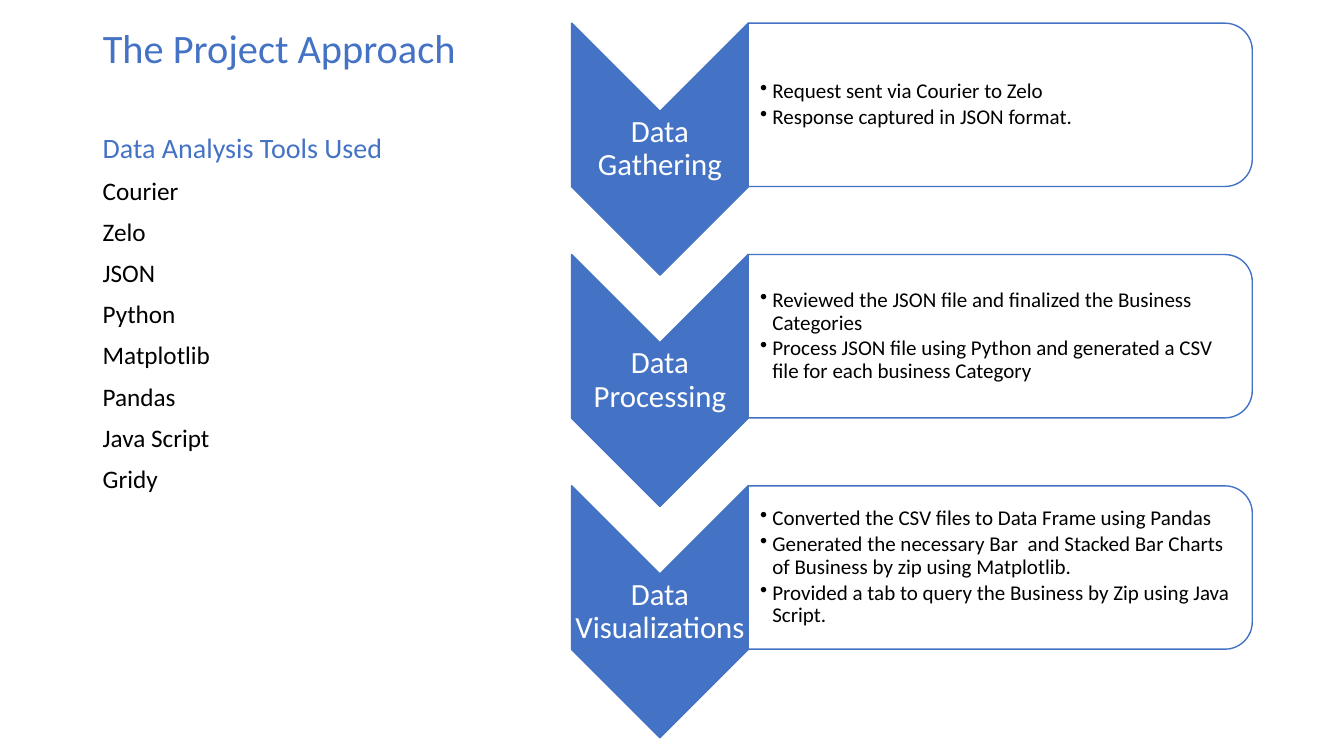
from lxml import etree
from pptx import Presentation, util as u
from pptx.dml.color import RGBColor
from pptx.enum import shapes, text
from pptx.oxml.ns import qn

TITLE = "The Project Approach"
HEAD = "Data Analysis Tools Used"
TOOLS = ["Courier", "Zelo", "JSON", "Python", "Matplotlib", "Pandas",
         "Java Script", "Gridy"]
STEPS = [
    ("Data Gathering", [
        "Request sent via Courier to Zelo",
        "Response captured in JSON format."]),
    ("Data Processing", [
        "Reviewed the JSON file and finalized the Business Categories",
        "Process JSON file using Python and generated a CSV file for each "
        "business Category"]),
    ("Data Visualizations", [
        "Converted the CSV files to Data Frame using Pandas",
        "Generated the necessary Bar  and Stacked Bar Charts of Business by "
        "zip using Matplotlib.",
        "Provided a tab to query the Business by Zip using Java Script."]),
]

THEME = {
    "font": "Calibri",
    "blue": RGBColor(0x44, 0x72, 0xC4),
    "white": RGBColor(255, 255, 255),
    "black": RGBColor(0, 0, 0),
    "title": 28.8, "head": 20, "tool": 18, "step": 22, "note": 15,
}
WIDE, HIGH = 13.33, 7.5
LEFT, COL = 0.92, 4.3                 # left text column
TOP, PITCH = 0.23, 2.295              # first step and step spacing
ARROW_X, ARROW_W, ARROW_H = 5.67, 1.75, 2.5
CARD_X, CARD_W, CARD_H = ARROW_X + ARROW_W, 5, 1.62
INDENT = 0.12


def inches(*vals):
    """Turn plain numbers into lengths."""
    return [u.Inches(v) for v in vals]


def style(para, size, color, before=0, after=0):
    """Format a paragraph and its runs."""
    para.line_spacing = 0.9
    para.space_before, para.space_after = u.Pt(before), u.Pt(after)
    for run in para.runs:
        run.font.name = THEME["font"]
        run.font.size = u.Pt(THEME[size])
        run.font.color.rgb = THEME[color]


def label(box, lines, pads, anchor):
    """Add a wrapped text box and return its frame."""
    frame = slide.shapes.add_textbox(*inches(*box)).text_frame
    frame.word_wrap = True
    frame.vertical_anchor = anchor
    (frame.margin_left, frame.margin_top,
     frame.margin_right, frame.margin_bottom) = inches(*pads)
    frame.text = "\n".join(lines)
    return frame


def turned(kind, x, y, w, h, fill):
    """Add a shape turned by 90 degrees that covers the box x, y, w, h."""
    shape = slide.shapes.add_shape(
        kind, *inches(x + (w - h) / 2, y + (h - w) / 2, h, w))
    shape.rotation = 90
    shape.shadow.inherit = False
    shape.fill.solid()
    shape.fill.fore_color.rgb = THEME[fill]
    shape.line.color.rgb = THEME["blue"]
    shape.line.width = u.Pt(1)


def bullet(para):
    """Give a paragraph a hanging bullet."""
    props = para._p.get_or_add_pPr()
    props.set("marL", str(u.Inches(INDENT)))
    props.set("indent", str(-u.Inches(INDENT)))
    etree.SubElement(props, qn("a:buChar")).set("char", "•")


def step(y, name, notes):
    """Draw one arrow with its card of notes."""
    turned(shapes.MSO_SHAPE.CHEVRON, ARROW_X, y, ARROW_W, ARROW_H, "blue")
    turned(shapes.MSO_SHAPE.ROUND_2_SAME_RECTANGLE,
           CARD_X, y, CARD_W, CARD_H, "white")
    mid = text.MSO_ANCHOR.MIDDLE
    notch = ARROW_W / 2
    frame = label((ARROW_X, y + notch, ARROW_W, ARROW_H - 2 * notch),
                  [name], [0.02] * 4, mid)
    para = frame.paragraphs[0]
    para.alignment = text.PP_ALIGN.CENTER
    style(para, "step", "white")
    frame = label((CARD_X, y + 0.08, CARD_W - 0.08, CARD_H - 0.16),
                  notes, (INDENT, 0.01, 0.01, 0.01), mid)
    for para in frame.paragraphs:
        style(para, "note", "black", after=2.25)
        bullet(para)


deck = Presentation()
deck.slide_width, deck.slide_height = inches(WIDE, HIGH)
slide = deck.slides.add_slide(deck.slide_layouts[5])

title = slide.shapes.title
title.left, title.top, title.width, title.height = inches(LEFT, 0.05, COL, 0.72)
title.text_frame.text = TITLE
title.text_frame.auto_size = text.MSO_AUTO_SIZE.NONE
title.text_frame.vertical_anchor = text.MSO_ANCHOR.BOTTOM
title.text_frame.paragraphs[0].alignment = text.PP_ALIGN.LEFT
style(title.text_frame.paragraphs[0], "title", "blue")

for i, (name, notes) in enumerate(STEPS):
    step(TOP + i * PITCH, name, notes)

tools = label((LEFT, 1.28, COL, 3.69), [HEAD] + TOOLS,
              (0.1, 0.05, 0.1, 0.05), text.MSO_ANCHOR.TOP)
head, *rest = tools.paragraphs
style(head, "head", "blue")
for para in rest:
    style(para, "tool", "black", before=10)

deck.save("out.pptx")
